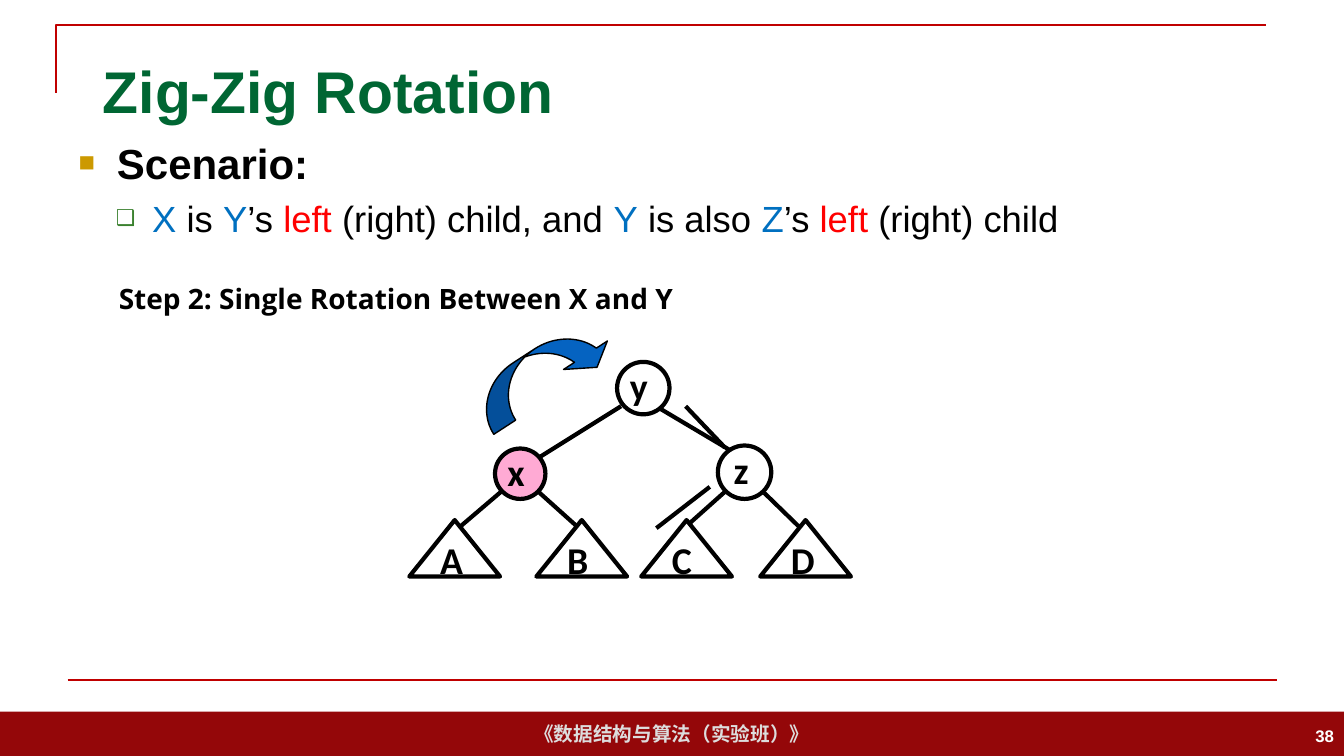
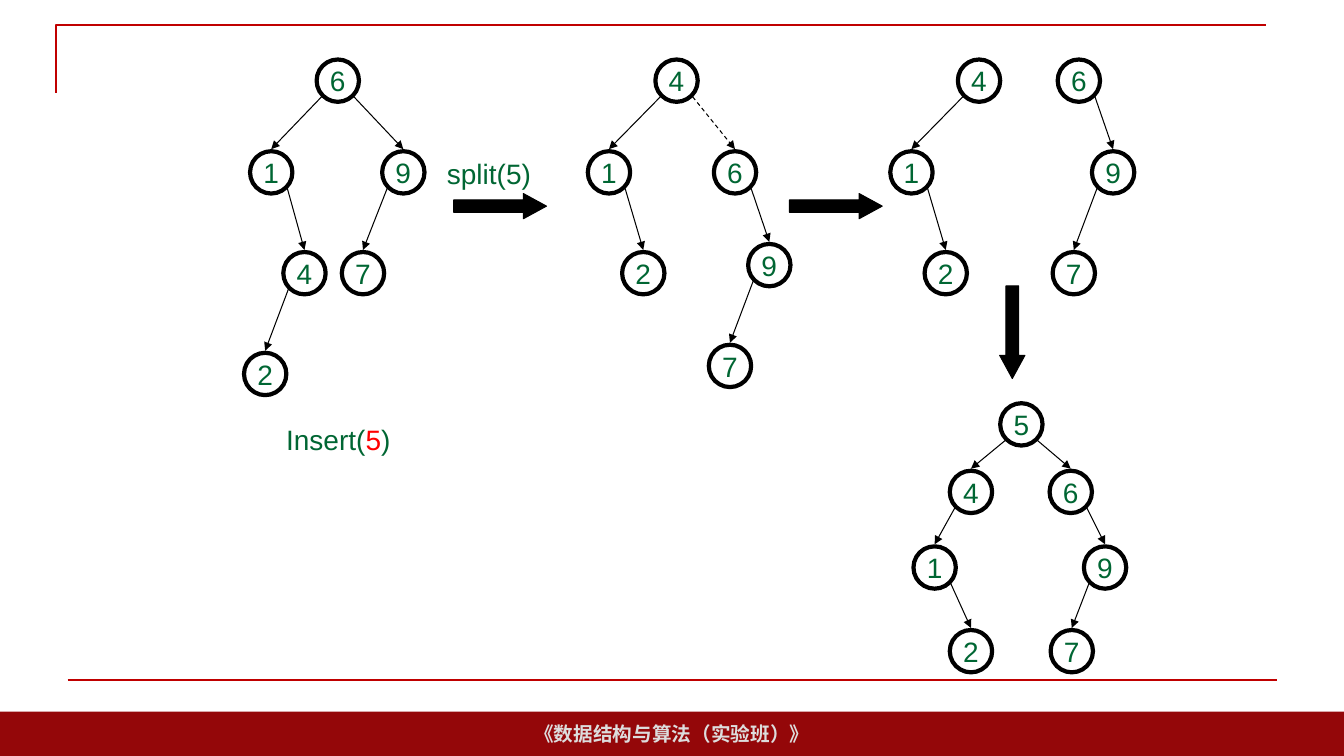
from dataclasses import dataclass
from typing import NamedTuple, Optional

from lxml.etree import SubElement
from pptx import Presentation
from pptx.dml.color import RGBColor
from pptx.enum.dml import MSO_LINE
from pptx.enum.shapes import MSO_CONNECTOR, MSO_SHAPE
from pptx.enum.text import MSO_ANCHOR, MSO_AUTO_SIZE, PP_ALIGN
from pptx.oxml.ns import qn
from pptx.util import Inches, Pt


@dataclass(frozen=True)
class Theme:
    black: str = "000000"
    white: str = "FFFFFF"
    green: str = "006633"
    red: str = "FF0000"
    blue: str = "0070C0"
    pink: str = "FF99CC"
    arrow_blue: str = "0563C1"
    rule: str = "C00000"
    band: str = "940709"
    band_text: str = "DDDDDD"
    font: str = "Arial"
    letter_font: str = "Calibri"
    step_font: str = "Open Sans"
    title_size: int = 42
    heading_size: int = 30
    body_size: int = 26
    letter_size: int = 27
    label_size: int = 20
    footer_size: int = 14
    number_size: int = 12


THEME = Theme()


class Box(NamedTuple):
    left: float
    top: float
    width: float
    height: float

    def lengths(self) -> list:
        return [Inches(value) for value in self]


class Run(NamedTuple):
    text: str
    color: str


class Bullet(NamedTuple):
    symbol: str
    color: str
    percent: int
    margin: float
    hanging: float


class Letter(NamedTuple):
    text: str
    kind: MSO_SHAPE
    box: Box
    left_inset: float
    fill: Optional[str] = None


class Node(NamedTuple):
    label: str
    left: float
    top: float


class Tree(NamedTuple):
    nodes: tuple
    edges: str  # parent and child label in each pair
    dashed: str = ""


# Formatting helpers
def set_attributes(target, values: dict) -> None:
    for name, value in values.items():
        setattr(target, name, value)


def write_runs(paragraph, runs: list, size: float, font: str = THEME.font,
               bold: bool = False) -> None:
    for text, color in runs:
        run = paragraph.add_run()
        run.text = text
        set_attributes(run.font, {"name": font, "size": Pt(size), "bold": bold})
        run.font.color.rgb = RGBColor.from_string(color)


def add_bullet(paragraph, bullet: Bullet) -> None:
    properties = paragraph._p.get_or_add_pPr()
    properties.set("marL", str(Inches(bullet.margin)))
    properties.set("indent", str(-Inches(bullet.hanging)))
    color = SubElement(properties, qn("a:buClr"))
    SubElement(color, qn("a:srgbClr"), val=bullet.color)
    SubElement(properties, qn("a:buSzPct"), val=str(bullet.percent * 1000))
    SubElement(properties, qn("a:buFont"), typeface=THEME.font)
    SubElement(properties, qn("a:buChar"), char=bullet.symbol)


def style_outline(line, color: str, width: float) -> None:
    line.color.rgb = RGBColor.from_string(color)
    line.width = Pt(width)


def add_shape(slide, kind: MSO_SHAPE, box: Box, fill: Optional[str] = None,
              line_width: float = 3, adjustments: tuple = ()):
    shape = slide.shapes.add_shape(kind, *box.lengths())
    shape.shadow.inherit = False
    if fill:
        shape.fill.solid()
        shape.fill.fore_color.rgb = RGBColor.from_string(fill)
    else:
        shape.fill.background()
    if line_width:
        style_outline(shape.line, THEME.black, line_width)
    else:
        shape.line.fill.background()
    for index, value in enumerate(adjustments):
        shape.adjustments[index] = value
    return shape


def add_line(slide, start: tuple, end: tuple, color: str = THEME.black,
             width: float = 3, arrow: bool = False, dashed: bool = False) -> None:
    points = [Inches(value) for value in (*start, *end)]
    connector = slide.shapes.add_connector(MSO_CONNECTOR.STRAIGHT, *points)
    style_outline(connector.line, color, width)
    if dashed:
        connector.line.dash_style = MSO_LINE.DASH
    if arrow:
        SubElement(connector.line._get_or_add_ln(), qn("a:tailEnd"), type="triangle")
    SubElement(connector._element.spPr, qn("a:effectLst"))


def write_shape_text(shape, runs: list, size: float, alignment: PP_ALIGN,
                     font: str = THEME.font, bold: bool = False,
                     wrap: bool = False) -> None:
    frame = shape.text_frame
    set_attributes(frame, {"word_wrap": wrap, "vertical_anchor": MSO_ANCHOR.MIDDLE})
    frame.paragraphs[0].alignment = alignment
    write_runs(frame.paragraphs[0], runs, size, font, bold)


def add_text(slide, box: Box, runs: list, size: float,
             alignment: PP_ALIGN = PP_ALIGN.CENTER, font: str = THEME.font,
             bold: bool = False) -> None:
    text_box = slide.shapes.add_textbox(*box.lengths())
    write_shape_text(text_box, runs, size, alignment, font, bold,
                     wrap=alignment != PP_ALIGN.CENTER)


# Frame shared by both slides
def add_frame(slide) -> None:
    band = add_shape(slide, MSO_SHAPE.RECTANGLE, Box(0, 7.06, 13.33, 0.44),
                     THEME.band, line_width=0)
    write_shape_text(band, [Run("《数据结构与算法（实验班）》", THEME.band_text)],
                     THEME.footer_size, PP_ALIGN.CENTER, bold=True)
    builder = slide.shapes.build_freeform(Inches(0.56), Inches(0.92))
    builder.add_line_segments([(Inches(0.56), Inches(0.25)),
                               (Inches(12.56), Inches(0.25))], close=False)
    corner = builder.convert_to_shape()
    corner.shadow.inherit = False
    corner.fill.background()
    style_outline(corner.line, THEME.rule, 1.5)
    add_line(slide, (0.67, 6.75), (12.67, 6.75), THEME.rule, 1.5)


def place(shape, box: Box) -> None:
    set_attributes(shape, dict(zip(Box._fields, box.lengths())))


# Rotation slide
SCENARIO = ["X", " is ", "Y", "’s ", "left", " (right) child, and ", "Y",
            " is also ", "Z", "’s ", "left", " (right) child"]
SCENARIO_COLORS = {"X": THEME.blue, "Y": THEME.blue, "Z": THEME.blue, "left": THEME.red}
HEADING_BULLET = Bullet("■", "CC9900", 65, 0.38, 0.38)
DETAIL_BULLET = Bullet("❑", "3B812F", 60, 0.73, 0.36)

BRANCHES = [
    ((6.16, 4.03), (5.36, 4.53)), ((5.33, 4.87), (5.72, 5.22)),
    ((4.98, 4.87), (4.57, 5.22)), ((7.04, 4.83), (6.51, 5.24)),
    ((7.19, 4.44), (6.8, 4.03)), ((7.23, 4.46), (6.54, 4.05)),
    ((7.2, 4.87), (6.83, 5.2)), ((7.58, 4.89), (7.94, 5.24)),
]
LETTERS = [
    Letter("x", MSO_SHAPE.OVAL, Box(4.91, 4.45, 0.5, 0.5), 0.05, THEME.pink),
    Letter("y", MSO_SHAPE.OVAL, Box(6.12, 3.59, 0.52, 0.52), 0.05),
    Letter("z", MSO_SHAPE.OVAL, Box(7.12, 4.42, 0.53, 0.53), 0.08),
] + [
    Letter(text, MSO_SHAPE.ISOSCELES_TRIANGLE, Box(left, 5.16, 0.9, 0.56), 0.08)
    for text, left in (("A", 4.06), ("B", 5.32), ("C", 6.36), ("D", 7.54))
]


def add_letter(slide, letter: Letter) -> None:
    shape = add_shape(slide, letter.kind, letter.box, letter.fill)
    if letter.fill:
        color = shape._element.spPr.find(qn("a:solidFill"))[0]
        SubElement(color, qn("a:alpha"), val="83000")
    set_attributes(shape.text_frame, {
        "margin_left": Inches(letter.left_inset), "margin_top": Inches(0.02),
        "margin_right": Inches(0.13), "margin_bottom": Inches(0.07)})
    write_shape_text(shape, [Run(letter.text, THEME.black)], THEME.letter_size,
                     PP_ALIGN.LEFT, THEME.letter_font, bold=True)


def build_rotation_slide(presentation) -> None:
    slide = presentation.slides.add_slide(presentation.slide_layouts[1])
    add_frame(slide)

    # Title and scenario
    title, body = slide.placeholders
    place(title, Box(0.92, 0.4, 11.5, 0.99))
    write_shape_text(title, [Run("Zig-Zig Rotation", THEME.green)], THEME.title_size,
                     PP_ALIGN.LEFT, bold=True, wrap=True)
    place(body, Box(0.68, 1.31, 12, 1.13))
    for shape in (title, body):
        shape.text_frame.auto_size = MSO_AUTO_SIZE.NONE
    heading = body.text_frame.paragraphs[0]
    add_bullet(heading, HEADING_BULLET)
    heading.space_before = Pt(0)
    write_runs(heading, [Run("Scenario:", THEME.black)], THEME.heading_size, bold=True)
    detail = body.text_frame.add_paragraph()
    detail.level = 1
    add_bullet(detail, DETAIL_BULLET)
    detail.space_before = Pt(6)
    write_runs(detail, [Run(text, SCENARIO_COLORS.get(text, THEME.black))
                        for text in SCENARIO], THEME.body_size)

    # Page number and step
    add_text(slide, Box(10.33, 7.1, 3, 0.4), [Run("38", THEME.white)],
             THEME.number_size, PP_ALIGN.RIGHT, bold=True)
    add_text(slide, Box(1.08, 2.74, 6.1, 0.44),
             [Run("Step 2: Single Rotation Between X and Y", THEME.black)],
             THEME.label_size, PP_ALIGN.LEFT, THEME.step_font, bold=True)

    # Rotated tree
    for start, end in BRANCHES:
        add_line(slide, start, end)
    for letter in LETTERS:
        add_letter(slide, letter)
    turn = add_shape(slide, MSO_SHAPE.CURVED_LEFT_ARROW, Box(5.14, 2.96, 0.49, 1.48),
                     THEME.arrow_blue, 1, (0.528, 1.057, 0.333))
    turn.rotation = 237


# Split slide
DIAMETER = 0.42
EDGE_OFFSET = 0.16
EDGE_GAP = 0.02
TREES = [
    Tree((Node("6", 3.14, 0.59), Node("1", 2.48, 1.5), Node("9", 3.79, 1.5),
          Node("4", 2.81, 2.5), Node("7", 3.39, 2.5), Node("2", 2.42, 3.5)),
         "61 69 14 97 42"),
    Tree((Node("4", 6.5, 0.59), Node("1", 5.83, 1.5), Node("6", 7.08, 1.5),
          Node("2", 6.17, 2.5), Node("9", 7.42, 2.42), Node("7", 7.03, 3.42)),
         "41 46 12 69 97", dashed="46"),
    Tree((Node("4", 9.5, 0.59), Node("1", 8.83, 1.5), Node("2", 9.17, 2.5),
          Node("6", 10.49, 0.59), Node("9", 10.83, 1.5), Node("7", 10.44, 2.5)),
         "41 12 69 97"),
    Tree((Node("5", 9.92, 4), Node("4", 9.42, 4.67), Node("6", 10.41, 4.67),
          Node("1", 9.06, 5.42), Node("9", 10.75, 5.42),
          Node("2", 9.42, 6.25), Node("7", 10.42, 6.25)),
         "54 56 41 12 69 97"),
]
BLOCK_ARROWS = [(4.5, 1.92, 0), (7.83, 1.92, 0), (9.58, 3.17, 90)]


def add_tree(slide, tree: Tree) -> None:
    nodes = {node.label: node for node in tree.nodes}
    radius = DIAMETER / 2
    for pair in tree.edges.split():
        parent, child = (nodes[label] for label in pair)
        side = 1 if child.left > parent.left else -1
        start = (parent.left + radius + side * EDGE_OFFSET,
                 parent.top + radius + EDGE_OFFSET)
        end = (child.left + radius, child.top - EDGE_GAP)
        add_line(slide, start, end, width=0.75, arrow=True, dashed=pair == tree.dashed)
    for node in tree.nodes:
        circle = add_shape(slide, MSO_SHAPE.OVAL,
                           Box(node.left, node.top, DIAMETER, DIAMETER))
        write_shape_text(circle, [Run(node.label, THEME.green)], THEME.label_size,
                         PP_ALIGN.CENTER)


def build_split_slide(presentation) -> None:
    slide = presentation.slides.add_slide(presentation.slide_layouts[6])
    add_frame(slide)
    for tree in TREES:
        add_tree(slide, tree)
    for left, top, rotation in BLOCK_ARROWS:
        arrow = add_shape(slide, MSO_SHAPE.RIGHT_ARROW, Box(left, top, 0.92, 0.25),
                          THEME.black, 0.75, (0.5, 0.917))
        arrow.rotation = rotation
    add_text(slide, Box(2.73, 4.14, 1.25, 0.44),
             [Run("Insert(", THEME.green), Run("5", THEME.red), Run(")", THEME.green)],
             THEME.label_size)
    add_text(slide, Box(4.33, 1.5, 1.04, 0.44), [Run("split(5)", THEME.green)],
             THEME.label_size)


def main() -> None:
    presentation = Presentation()
    set_attributes(presentation, {"slide_width": Inches(13.33),
                                  "slide_height": Inches(7.5)})
    build_rotation_slide(presentation)
    build_split_slide(presentation)
    presentation.save("out.pptx")


if __name__ == "__main__":
    main()
